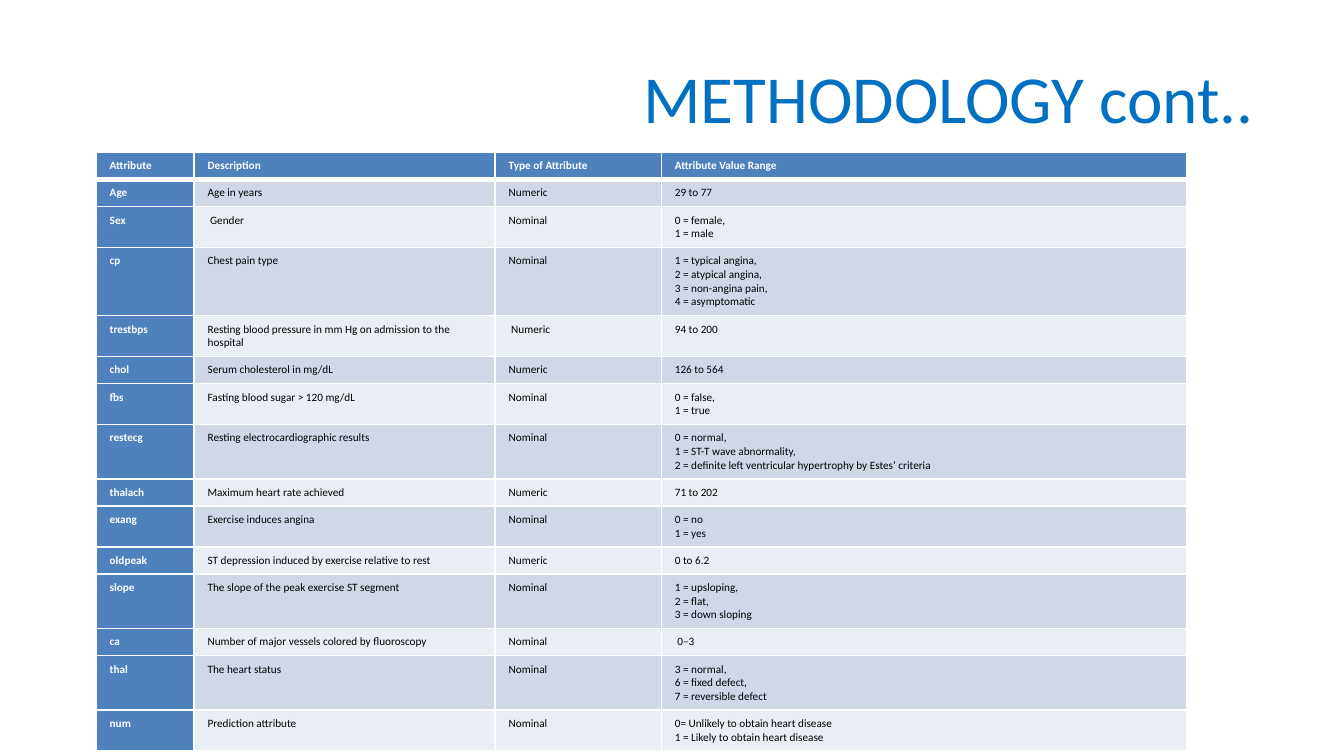
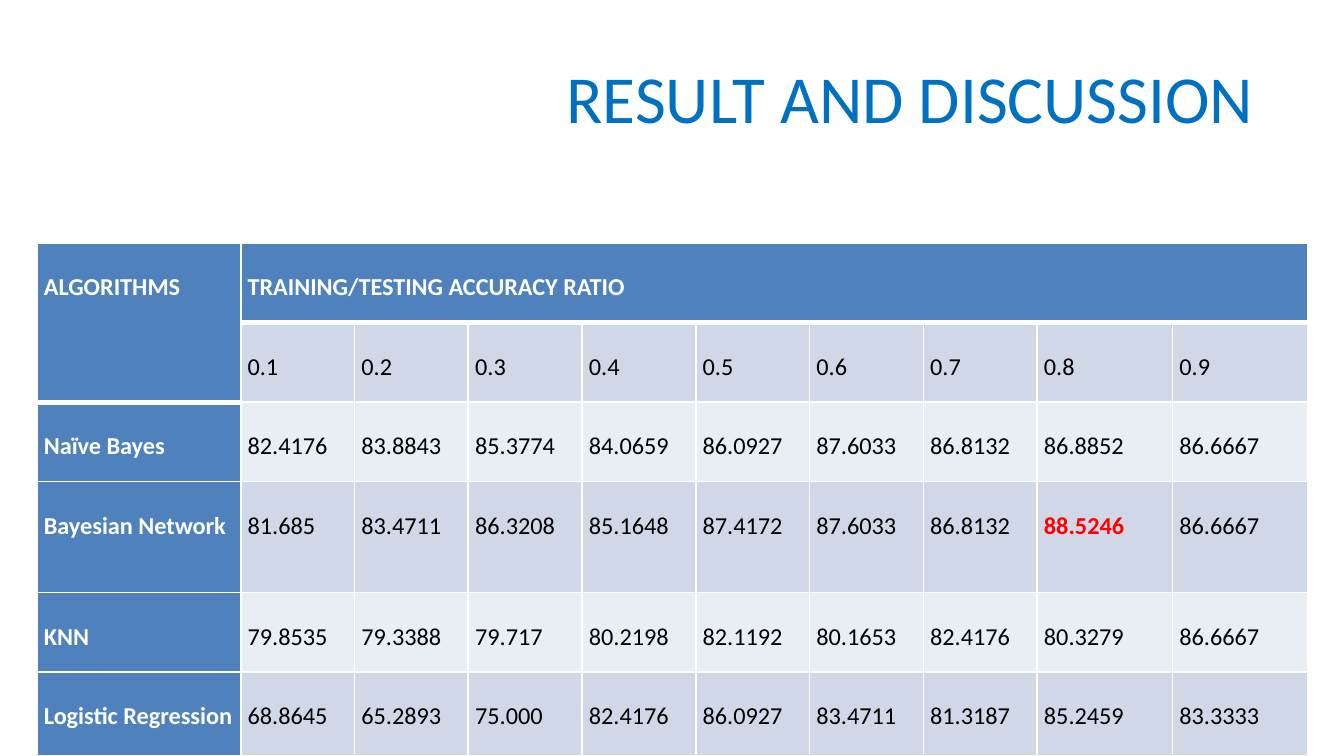
from lxml import etree
from pptx import Presentation
from pptx.dml.color import RGBColor
from pptx.enum.text import MSO_ANCHOR, PP_ALIGN
from pptx.oxml.ns import qn
from pptx.util import Cm, Pt

RIGHT, JUSTIFY = PP_ALIGN.RIGHT, PP_ALIGN.JUSTIFY
MIDDLE = MSO_ANCHOR.MIDDLE

FONT = "Calibri"
TITLE_BLUE = RGBColor(0x00, 0x70, 0xC0)
HEADER_BLUE = RGBColor(0x4F, 0x81, 0xBD)
BANDS = (RGBColor(0xE9, 0xED, 0xF4), RGBColor(0xD0, 0xD8, 0xE8))
WHITE = RGBColor(0xFF, 0xFF, 0xFF)
BLACK = RGBColor(0x00, 0x00, 0x00)
RED = RGBColor(0xFF, 0x00, 0x00)

ATTRIBUTES = [
    ("Attribute", "Description", "Type of Attribute", "Attribute Value Range"),
    ("Age", "Age in years", "Numeric", "29 to 77"),
    ("Sex", " Gender", "Nominal", "0 = female,\n1 = male"),
    ("cp", "Chest pain type", "Nominal",
     "1 = typical angina,\n2 = atypical angina,\n3 = non-angina pain,\n4 = asymptomatic"),
    ("trestbps", "Resting blood pressure in mm Hg on admission to the hospital",
     " Numeric", "94 to 200"),
    ("chol", "Serum cholesterol in mg/dL", "Numeric", "126 to 564"),
    ("fbs", "Fasting blood sugar > 120 mg/dL", "Nominal", "0 = false,\n1 = true"),
    ("restecg", "Resting electrocardiographic results", "Nominal",
     "0 = normal,\n1 = ST-T wave abnormality,\n"
     "2 = definite left ventricular hypertrophy by Estes’ criteria"),
    ("thalach", "Maximum heart rate achieved", "Numeric", "71 to 202"),
    ("exang", "Exercise induces angina", "Nominal", "0 = no\n1 = yes"),
    ("oldpeak", "ST depression induced by exercise relative to rest", "Numeric", "0 to 6.2"),
    ("slope", "The slope of the peak exercise ST segment", "Nominal",
     "1 = upsloping,\n2 = flat,\n3 = down sloping"),
    ("ca", "Number of major vessels colored by fluoroscopy", "Nominal", " 0–3"),
    ("thal", "The heart status", "Nominal",
     "3 = normal,\n6 = fixed defect,\n7 = reversible defect"),
    ("num", "Prediction attribute", "Nominal",
     "0= Unlikely to obtain heart disease\n1 = Likely to obtain heart disease"),
]
ATTRIBUTE_LINES = [1, 1, 2, 4, 2, 1, 2, 3, 1, 2, 1, 3, 1, 3, 2]

BEST = "88.5246"
ACCURACY = [
    ["ALGORITHMS", "TRAINING/TESTING ACCURACY RATIO"] + [""] * 8,
    [""] + [f"0.{i}" for i in range(1, 10)],
    ["Naïve Bayes", "82.4176", "83.8843", "85.3774", "84.0659", "86.0927",
     "87.6033", "86.8132", "86.8852", "86.6667"],
    ["Bayesian Network ", "81.685", "83.4711", "86.3208", "85.1648", "87.4172",
     "87.6033", "86.8132", BEST, "86.6667"],
    ["KNN", "79.8535", "79.3388", "79.717", "80.2198", "82.1192",
     "80.1653", "82.4176", "80.3279", "86.6667"],
    ["Logistic Regression", "68.8645", "65.2893", "75.000", "82.4176", "86.0927",
     "83.4711", "81.3187", "85.2459", "83.3333"],
]


def format_runs(p, size, color, bold=False):
    for r in p.runs:
        r.font.name = FONT
        r.font.size = Pt(size)
        r.font.bold = bold
        r.font.color.rgb = color


def add_titled_slide(prs, title):
    s = prs.slides.add_slide(prs.slide_layouts[5])
    sp = s.shapes.title
    sp.left, sp.top, sp.width, sp.height = Cm(1.47), Cm(0.76), Cm(22.48), Cm(2.13)
    tf = sp.text_frame
    tf.text = title
    tf.vertical_anchor = MIDDLE
    p = tf.paragraphs[0]
    p.alignment = RIGHT
    format_runs(p, 36, TITLE_BLUE)
    return s


def set_borders(cell, **widths):
    """Draw white borders; widths in points keyed by L, R, T, B in that order."""
    tcPr = cell._tc.get_or_add_tcPr()
    for side, width in widths.items():
        ln = etree.SubElement(tcPr, qn(f"a:ln{side}"), w=str(Pt(width)))
        fill = etree.SubElement(ln, qn("a:solidFill"))
        etree.SubElement(fill, qn("a:srgbClr"), val=str(WHITE))


def add_table(s, left, top, rows, col_widths, row_heights, size):
    """Add a banded table with a header row and a header column; sizes in cm."""
    table = s.shapes.add_table(len(rows), len(col_widths), Cm(left), Cm(top),
                               Cm(sum(col_widths)), Cm(sum(row_heights))).table
    table.first_row = table.horz_banding = False
    for column, width in zip(table.columns, col_widths):
        column.width = Cm(width)
    for i, (row, height) in enumerate(zip(rows, row_heights)):
        table.rows[i].height = Cm(height)
        for j, text in enumerate(row):
            cell = table.cell(i, j)
            cell.text = text
            header = i == 0 or j == 0
            if i == 0:
                set_borders(cell, L=1, R=1, T=1, B=3)
            else:
                # An empty header cell continues the one above it
                set_borders(cell, L=1, R=1, B=1 if text else 3)
            cell.fill.solid()
            cell.fill.fore_color.rgb = HEADER_BLUE if header else BANDS[i % 2]
            for p in cell.text_frame.paragraphs:
                format_runs(p, size, WHITE if header else BLACK, header)
    return table


def space_cells(table):
    for cell in table.iter_cells():
        cell.margin_left = cell.margin_right = Cm(0.13)
        cell.margin_top = cell.margin_bottom = 0
        p = cell.text_frame.paragraphs[0]
        p.alignment = JUSTIFY
        p.line_spacing = 2.0
        p.space_before = Pt(11)


def highlight(table, text, size):
    for cell in table.iter_cells():
        if cell.text == text:
            format_runs(cell.text_frame.paragraphs[0], size, RED, True)


def main():
    prs = Presentation()
    prs.slide_width, prs.slide_height = Cm(25.4), Cm(14.29)

    s = add_titled_slide(prs, "METHODOLOGY cont..")
    heights = [0.25 + 0.26 * n for n in ATTRIBUTE_LINES]
    add_table(s, 1.82, 2.88, ATTRIBUTES, [1.85, 5.69, 3.14, 9.92], heights, 6)

    s = add_titled_slide(prs, "RESULT AND DISCUSSION")
    widths = [3.85] + [2.15] * 7 + [2.56] * 2
    heights = [1.5, 1.5, 1.5, 2.1, 1.5, 1.58]
    table = add_table(s, 0.7, 4.6, ACCURACY, widths, heights, 13)
    space_cells(table)
    highlight(table, BEST, 13)
    table.cell(0, 0).merge(table.cell(1, 0))
    table.cell(0, 1).merge(table.cell(0, 9))

    prs.save("out.pptx")


if __name__ == "__main__":
    main()
